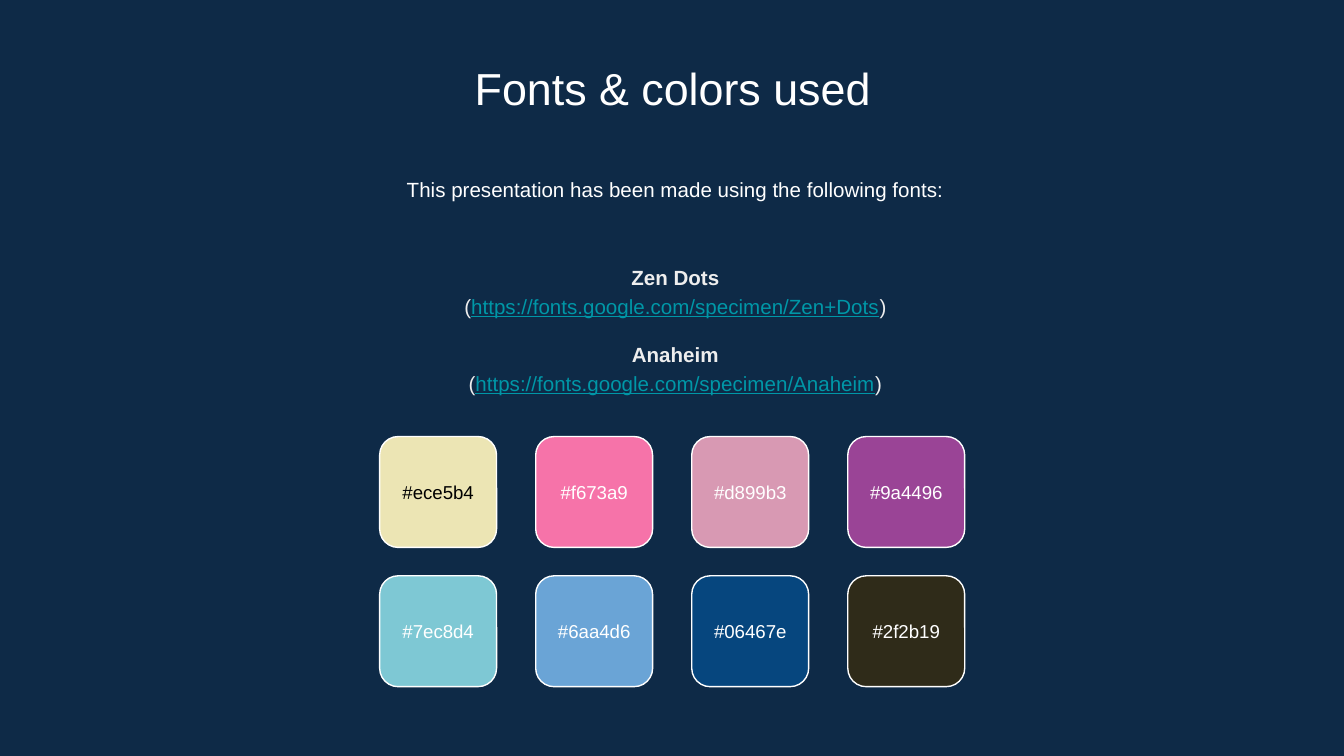
from dataclasses import dataclass
from typing import Any, NamedTuple

from pptx import Presentation
from pptx import util as u
from pptx.dml.color import RGBColor
from pptx.enum import shapes, text


@dataclass(frozen=True)
class Theme:
    font: str = "Arial"
    background: str = "0E2A47"
    white: str = "FFFFFF"
    soft_white: str = "EEEEEE"
    black: str = "000000"
    link: str = "0097A7"
    title_size: float = 24
    body_size: float = 11
    label_size: float = 10
    outline_width: float = 0.75
    inset: float = 7.2
    body_spacing: float = 1.15
    group_gap: float = 11


class Area(NamedTuple):
    left: float
    top: float
    width: float
    height: float


class Span(NamedTuple):
    words: str
    color: str
    bold: bool = False
    underline: bool = False


class FontSource(NamedTuple):
    name: str
    address: str


class Swatch(NamedTuple):
    code: str
    text_color: str


THEME = Theme()
TITLE_AREA = Area(82.8, 25.2, 555.12, 38.16)
INTRO_AREA = Area(84.24, 85.68, 555.12, 34.56)
FONTS_AREA = Area(84.24, 126.72, 555.12, 98.64)

# Swatch grid: first cell, and the step to the next column and row
FIRST_SWATCH = Area(203.4, 233.9, 62.64, 59.4)
COLUMN_STEP, ROW_STEP, COLUMNS = 83.6, 74.6, 4

FONT_SOURCES = [
    FontSource("Zen Dots", "https://fonts.google.com/specimen/Zen+Dots"),
    FontSource("Anaheim", "https://fonts.google.com/specimen/Anaheim"),
]
SWATCHES = [Swatch("#ece5b4", THEME.black)] + [
    Swatch(code, THEME.white)
    for code in ("#f673a9", "#d899b3", "#9a4496",
                 "#7ec8d4", "#6aa4d6", "#06467e", "#2f2b19")
]


def set_all(target: Any, values: dict[str, Any]) -> None:
    for name, value in values.items():
        setattr(target, name, value)


def place(box: Any, area: Area) -> None:
    set_all(box, {name: u.Pt(value) for name, value in area._asdict().items()})


def format_frame(frame: Any, anchor: Any) -> None:
    inset = u.Pt(THEME.inset)
    set_all(frame, {
        "word_wrap": True,
        "auto_size": text.MSO_AUTO_SIZE.NONE,
        "vertical_anchor": anchor,
        "margin_left": inset, "margin_right": inset,
        "margin_top": inset, "margin_bottom": inset,
    })


def write_para(para: Any, spans: list[Span], size: float,
               spacing: float = 1, before: float = 0) -> None:
    set_all(para, {
        "alignment": text.PP_ALIGN.CENTER,
        "line_spacing": spacing,
        "space_before": u.Pt(before),
    })
    for span in spans:
        run = para.add_run()
        run.text = span.words
        set_all(run.font, {
            "name": THEME.font, "size": u.Pt(size),
            "bold": span.bold, "underline": span.underline,
        })
        run.font.color.rgb = RGBColor.from_string(span.color)


def add_text_box(page: Any, area: Area, anchor: Any) -> Any:
    box = page.shapes.add_textbox(*(u.Pt(value) for value in area))
    format_frame(box.text_frame, anchor)
    return box.text_frame


def add_title(page: Any, words: str) -> None:
    title = page.shapes.title
    place(title, TITLE_AREA)
    format_frame(title.text_frame, text.MSO_ANCHOR.TOP)
    write_para(title.text_frame.paragraphs[0], [Span(words, THEME.white)],
               THEME.title_size)


def add_font_list(page: Any, sources: list[FontSource]) -> None:
    frame = add_text_box(page, FONTS_AREA, text.MSO_ANCHOR.MIDDLE)
    for index, source in enumerate(sources):
        para = frame.add_paragraph() if index else frame.paragraphs[0]
        write_para(para, [Span(source.name, THEME.soft_white, bold=True)],
                   THEME.body_size, THEME.body_spacing,
                   THEME.group_gap if index else 0)
        write_para(frame.add_paragraph(), [
            Span("(", THEME.soft_white),
            Span(source.address, THEME.link, underline=True),
            Span(")", THEME.soft_white),
        ], THEME.body_size, THEME.body_spacing)


def add_swatch(page: Any, swatch: Swatch, area: Area) -> None:
    tile = page.shapes.add_shape(shapes.MSO_SHAPE.ROUNDED_RECTANGLE,
                                 *(u.Pt(value) for value in area))
    tile.shadow.inherit = False
    tile.fill.solid()
    tile.fill.fore_color.rgb = RGBColor.from_string(swatch.code[1:].upper())
    tile.line.color.rgb = RGBColor.from_string(THEME.white)
    tile.line.width = u.Pt(THEME.outline_width)
    format_frame(tile.text_frame, text.MSO_ANCHOR.MIDDLE)
    # The tile's rounded corners already inset its text
    set_all(tile.text_frame, {"margin_left": 0, "margin_right": 0})
    write_para(tile.text_frame.paragraphs[0],
               [Span(swatch.code, swatch.text_color)], THEME.label_size)


def main() -> None:
    deck = Presentation()
    set_all(deck, {"slide_width": u.Pt(720), "slide_height": u.Pt(405)})
    page = deck.slides.add_slide(deck.slide_layouts[5])
    page.background.fill.solid()
    page.background.fill.fore_color.rgb = RGBColor.from_string(THEME.background)

    # Title and introduction
    add_title(page, "Fonts & colors used")
    intro = add_text_box(page, INTRO_AREA, text.MSO_ANCHOR.TOP)
    write_para(intro.paragraphs[0], [
        Span("This presentation has been made using the following fonts:",
             THEME.white),
    ], THEME.body_size, THEME.body_spacing)

    # Fonts and where to find them
    add_font_list(page, FONT_SOURCES)

    # Colour palette
    for index, swatch in enumerate(SWATCHES):
        row, column = divmod(index, COLUMNS)
        add_swatch(page, swatch, FIRST_SWATCH._replace(
            left=FIRST_SWATCH.left + column * COLUMN_STEP,
            top=FIRST_SWATCH.top + row * ROW_STEP))

    deck.save("out.pptx")


if __name__ == "__main__":
    main()
